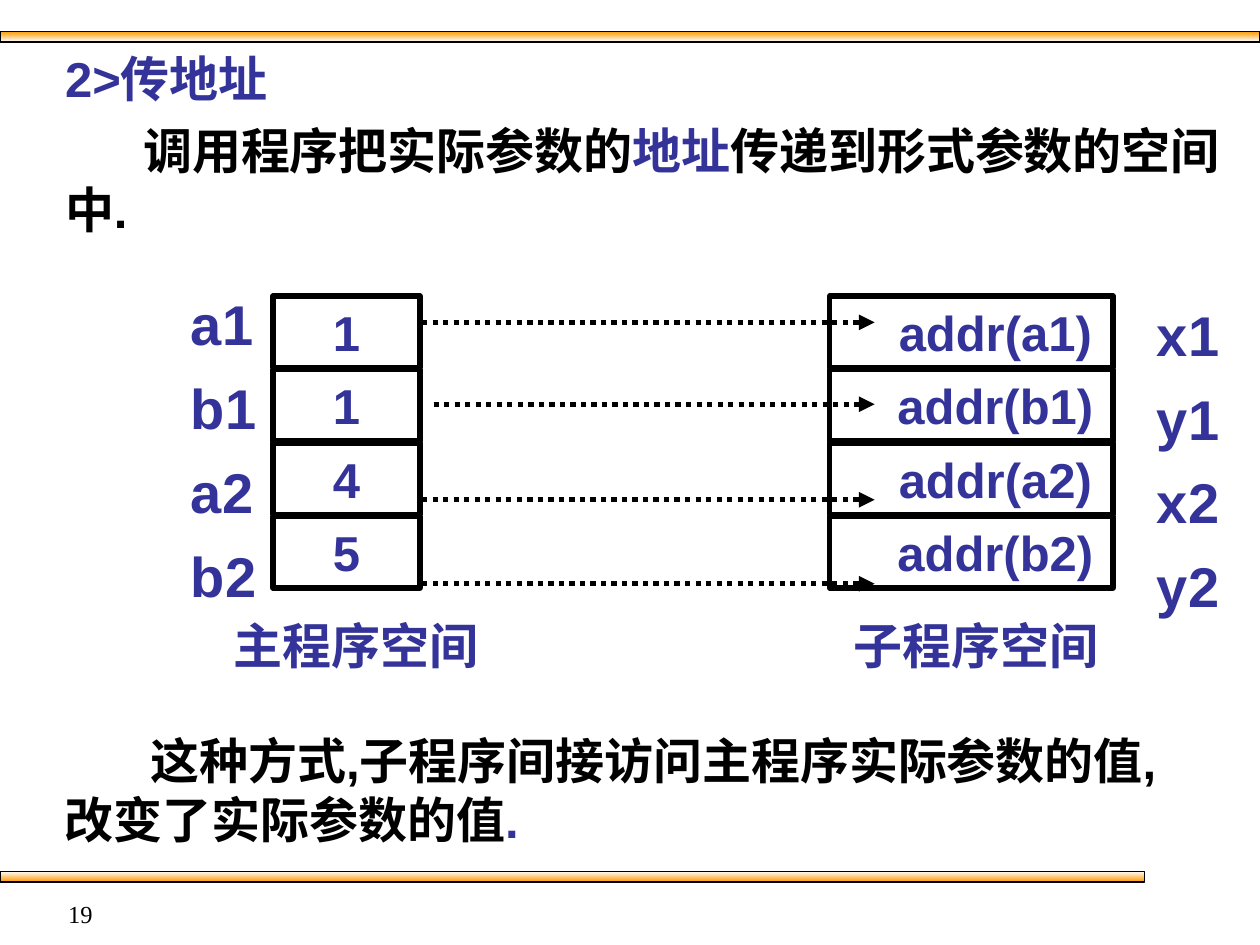
"""Build a slide that explains passing parameters by address."""
import pptx
import pptx.util
import pptx.dml.color
import pptx.enum.dml
import pptx.enum.shapes
import pptx.enum.text
import pptx.oxml
import pptx.oxml.ns

BLUE = pptx.dml.color.RGBColor(0x33, 0x33, 0x99)
BLACK = pptx.dml.color.RGBColor(0, 0, 0)
ORANGE = pptx.dml.color.RGBColor(0xFF, 0x99, 0)
WHITE = pptx.dml.color.RGBColor(0xFF, 0xFF, 0xFF)

ALIGN = pptx.enum.text.PP_ALIGN
ANCHOR = pptx.enum.text.MSO_ANCHOR
RECT = pptx.enum.shapes.MSO_SHAPE.RECTANGLE
STRAIGHT = pptx.enum.shapes.MSO_CONNECTOR.STRAIGHT
COLS, ROWS = 120, 90
CELL_TOP, CELL_STEP, CELL_H = 28.2, 7, 6.8


class Deck:
    """Hold the style and the current slide, laid out on a 120 by 90 grid."""

    def __init__(self):
        """Start the presentation with one title and content slide."""
        self.prs = pptx.Presentation()
        self.prs.slide_width = pptx.util.Inches(10)
        self.prs.slide_height = pptx.util.Inches(7.5)
        self.s = self.prs.slides.add_slide(self.prs.slide_layouts[1])
        self.font = {"name": "Arial", "size": pptx.util.Pt(28), "bold": True}

    def grid(self, x, y, w, h):
        """Turn columns and rows into slide lengths."""
        cw, rh = self.prs.slide_width / COLS, self.prs.slide_height / ROWS
        return [int(v) for v in (x * cw, y * rh, w * cw, h * rh)]

    def set_text(self, sp, paras, anchor=ANCHOR.TOP, align=ALIGN.LEFT,
                 wrap=True, gap=0, indent=0, **font):
        """Fill a shape with paragraphs, each a list of (text, colour)."""
        tf = sp.text_frame
        frame = {"word_wrap": wrap, "vertical_anchor": anchor,
                 "auto_size": pptx.enum.text.MSO_AUTO_SIZE.NONE}
        for name, value in frame.items():
            setattr(tf, name, value)
        for i, runs in enumerate(paras):
            p = tf.add_paragraph() if i else tf.paragraphs[0]
            pPr = p._p.get_or_add_pPr()
            pPr.set("marL", "0")
            pPr.set("indent", str(int(pptx.util.Inches(indent))))
            pPr.append(pptx.oxml.parse_xml(
                f"<a:buNone {pptx.oxml.ns.nsdecls('a')}/>"))
            p.alignment = align
            p.space_before = pptx.util.Pt(gap if i else 0)
            for text, color in runs:
                r = p.add_run()
                r.text = text
                for name, value in {**self.font, **font}.items():
                    setattr(r.font, name, value)
                r.font.color.rgb = color

    def placeholder(self, idx, box, runs, **style):
        """Move a template placeholder and set its text."""
        sp = self.s.placeholders[idx]
        sp.left, sp.top, sp.width, sp.height = self.grid(*box)
        self.set_text(sp, [runs], **style)

    def text(self, box, paras, **style):
        """Add a text box."""
        sp = self.s.shapes.add_textbox(*self.grid(*box))
        self.set_text(sp, paras, **style)

    def rect(self, box, weight):
        """Add a plain black-edged rectangle."""
        sp = self.s.shapes.add_shape(RECT, *self.grid(*box))
        sp.shadow.inherit = False
        sp.line.color.rgb = BLACK
        sp.line.width = pptx.util.Pt(weight)
        return sp

    def bar(self, box, colors):
        """Add a bar with a gradient from top to bottom."""
        sp = self.rect(box, 0.75)
        sp.fill.gradient()
        sp.fill.gradient_angle = 270
        for stop, color in zip(sp.fill.gradient_stops, colors):
            stop.color.rgb = color

    def cell(self, box, text, inset=0.1):
        """Add a memory cell with centred text."""
        sp = self.rect(box, 3)
        sp.fill.background()
        sp.text_frame.margin_left = pptx.util.Inches(inset)
        self.set_text(sp, [[(text, BLUE)]], ANCHOR.MIDDLE, ALIGN.CENTER)

    def arrow(self, x1, x2, y):
        """Add a dotted horizontal arrow."""
        left, top, right, _ = self.grid(x1, y, x2, 0)
        sp = self.s.shapes.add_connector(STRAIGHT, left, top, right, top)
        line = {"width": pptx.util.Pt(3),
                "dash_style": pptx.enum.dml.MSO_LINE.ROUND_DOT}
        for name, value in line.items():
            setattr(sp.line, name, value)
        sp.line.color.rgb = BLACK
        ns = pptx.oxml.ns.nsdecls("a")
        sp.line._get_or_add_ln().append(
            pptx.oxml.parse_xml(f'<a:tailEnd {ns} type="triangle"/>'))
        sp._element.spPr.append(pptx.oxml.parse_xml(f"<a:effectLst {ns}/>"))


def main():
    """Compose the slide and save it."""
    deck = Deck()
    deck.bar((0, 3, 120, 1), (ORANGE, WHITE))
    deck.bar((0, 83, 109, 1), (WHITE, ORANGE))
    deck.placeholder(0, (5, 4, 115, 6.8), [("2>传地址", BLUE)])
    deck.placeholder(1, (5, 10.9, 115, 12.5), [
        ("调用程序把实际参数的", BLACK), ("地址", BLUE),
        ("传递到形式参数的空间中.", BLACK)], indent=0.62)

    for x, caption in ((21.1, "主程序空间"), (80.1, "子程序空间")):
        deck.text((x, 58, 25.8, 6.8), [[(caption, BLUE)]], wrap=False)
    for x, y, names in ((109, 28, ("x1", "y1", "x2", "y2")),
                        (17, 27, ("a1", "b1", "a2", "b2"))):
        deck.text((x, y, 8.5, 30.8), [[(name, BLUE)] for name in names],
                  wrap=False, gap=9.5, size=pptx.util.Pt(32))

    memory = (("1", "addr(a1)"), ("1", "addr(b1)"),
              ("4", "addr(a2)"), ("5", "addr(b2)"))
    for i, (value, address) in enumerate(memory):
        y = CELL_TOP + i * CELL_STEP
        deck.cell((79, y, 27, CELL_H), address, inset=0.48)
        deck.cell((26, y, 14, CELL_H), value)
    for x, y in ((40.2, 30.7), (41.3, 38.5), (40.2, 47.6), (40.2, 55.6)):
        deck.arrow(x, 83.3, y)

    deck.text((5, 69, 108.2, 12.5), [[
        ("这种方式,子程序间接访问主程序实际参数的值,改变了实际参数的值", BLACK),
        (".", BLUE)]], indent=0.68)
    deck.text((0, 85, 10, 3), [[("19", BLACK)]], align=ALIGN.RIGHT,
              name="Times New Roman", size=pptx.util.Pt(14), bold=False)
    deck.prs.save("out.pptx")


if __name__ == "__main__":
    main()
